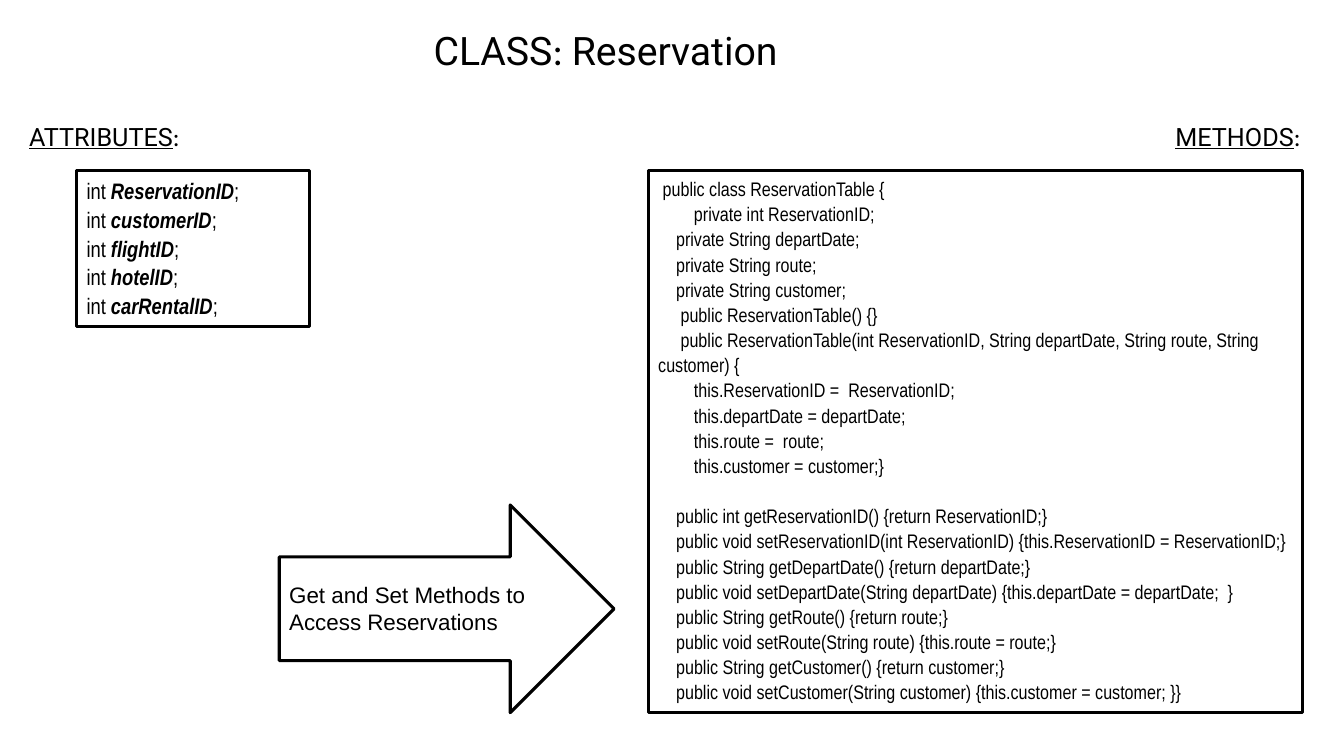
from pptx import Presentation
from pptx.dml.color import RGBColor
from pptx.enum.shapes import MSO_SHAPE as Shape
from pptx.enum.text import MSO_ANCHOR as Anchor, MSO_AUTO_SIZE as AutoSize, PP_ALIGN as Align
from pptx.util import Inches, Pt

BLACK = RGBColor(0, 0, 0)
WHITE = RGBColor(255, 255, 255)
HEADING, PUNCTUATION, CODE, CAPTION = "Roboto", "Calibri", "Arial Narrow", "Arial"

TITLE = [("CLASS", HEADING), (": ", PUNCTUATION), ("Reservation", HEADING)]
LABELS = [("ATTRIBUTES", 0.19, 2.31), ("METHODS", 11.56, 1.77)]
ATTRIBUTES = ["ReservationID", "customerID", "flightID", "hotelID", "carRentalID"]
ARROW_TEXT = "Get and Set Methods to Access Reservations"
FIELDS_AND_CONSTRUCTORS = [
    " public class ReservationTable {",
    "        private int ReservationID;",
    "    private String departDate;",
    "    private String route;",
    "    private String customer;",
    "     public ReservationTable() {}",
    "     public ReservationTable(int ReservationID, String departDate, String route, String customer) {",
    "        this.ReservationID =  ReservationID;",
    "        this.departDate = departDate;",
    "        this.route =  route;",
    "        this.customer = customer;}",
]
ACCESSORS = [
    "    public int getReservationID() {return ReservationID;}",
    "    public void setReservationID(int ReservationID) {this.ReservationID = ReservationID;}",
    "    public String getDepartDate() {return departDate;}",
    "    public void setDepartDate(String departDate) {this.departDate = departDate;  }",
    "    public String getRoute() {return route;}",
    "    public void setRoute(String route) {this.route = route;}",
    "    public String getCustomer() {return customer;}",
    "    public void setCustomer(String customer) {this.customer = customer; }}",
]

LABEL_TOP, LABEL_HEIGHT = 1.15, 0.4
BOX_TOP, LINE_SPACING = 1.69, 1.07
CODE_GAP = Pt(18)


def add_span(para, text, font, size, **style):
    span = para.add_run()
    span.text = text
    span.font.name = font
    span.font.size = Pt(size)
    span.font.color.rgb = BLACK
    for key, value in style.items():
        setattr(span.font, key, value)


def prepare_frame(box):
    frame = box.text_frame
    frame.word_wrap = True
    frame.auto_size = AutoSize.SHAPE_TO_FIT_TEXT
    frame.vertical_anchor = Anchor.TOP
    frame.paragraphs[0].alignment = Align.LEFT
    return frame


def fill_white(box):
    box.fill.solid()
    box.fill.fore_color.rgb = WHITE


def add_white_shape(page, kind, left, top, width, height, outlined=True):
    box = page.shapes.add_shape(kind, Inches(left), Inches(top), Inches(width), Inches(height))
    box.shadow.inherit = False
    fill_white(box)
    if outlined:
        box.line.color.rgb = BLACK
        box.line.width = Pt(2.25)
    else:
        box.line.fill.background()
    return box


def add_lines(box, lines, size):
    frame = prepare_frame(box)
    for index, spans in enumerate(lines):
        para = frame.add_paragraph() if index else frame.paragraphs[0]
        para.alignment = Align.LEFT
        para.line_spacing = LINE_SPACING
        for text, style in spans:
            add_span(para, text, CODE, size, **style)
    return frame


def add_title(page):
    title = page.shapes.title
    title.left, title.top = Inches(4.2), Inches(0.21)
    title.width, title.height = Inches(3.79), Inches(0.57)
    fill_white(title)
    para = prepare_frame(title).paragraphs[0]
    for text, font in TITLE:
        add_span(para, text, font, 28)


def main():
    deck = Presentation()
    deck.slide_width, deck.slide_height = Inches(13.33), Inches(7.5)
    page = deck.slides.add_slide(deck.slide_layouts[5])
    add_title(page)

    methods = add_white_shape(page, Shape.RECTANGLE, 6.43, BOX_TOP, 6.49, 5.38)
    code = [[(line, {})] for line in FIELDS_AND_CONSTRUCTORS + ACCESSORS]
    frame = add_lines(methods, code, 14)
    frame.paragraphs[len(FIELDS_AND_CONSTRUCTORS)].space_before = CODE_GAP

    attributes = add_white_shape(page, Shape.RECTANGLE, 0.76, BOX_TOP, 2.31, 1.55)
    emphasis = {"bold": True, "italic": True}
    add_lines(attributes, [[("int ", {}), (name, emphasis), (";", {})] for name in ATTRIBUTES], 16)

    for text, left, width in LABELS:
        label = add_white_shape(
            page, Shape.RECTANGLE, left, LABEL_TOP, width, LABEL_HEIGHT, outlined=False)
        para = prepare_frame(label).paragraphs[0]
        add_span(para, text, HEADING, 18, underline=True)
        add_span(para, ":", PUNCTUATION, 18)

    add_white_shape(page, Shape.RIGHT_ARROW, 2.77, 5.01, 3.32, 2.06)
    caption = page.shapes.add_textbox(Inches(2.77), Inches(5.72), Inches(2.94), Inches(0.64))
    add_span(prepare_frame(caption).paragraphs[0], ARROW_TEXT, CAPTION, 16)

    deck.save("out.pptx")


if __name__ == "__main__":
    main()
